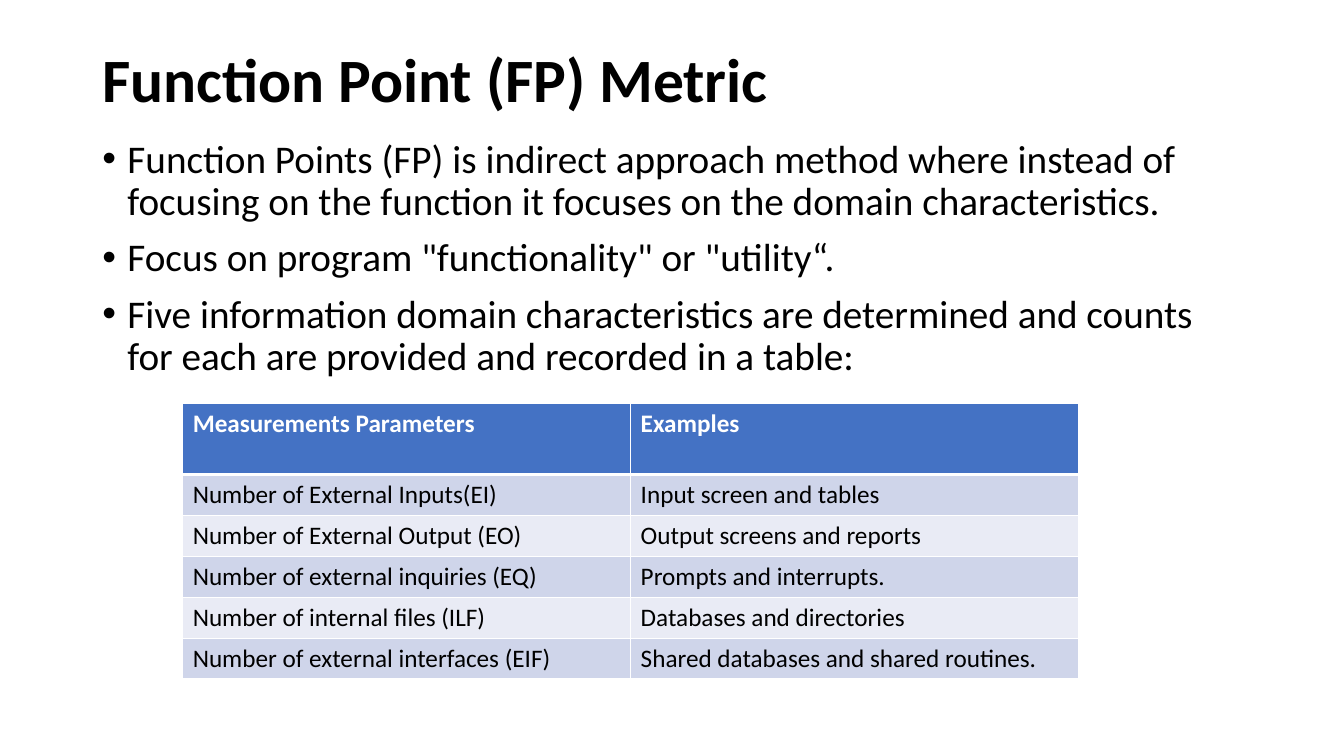
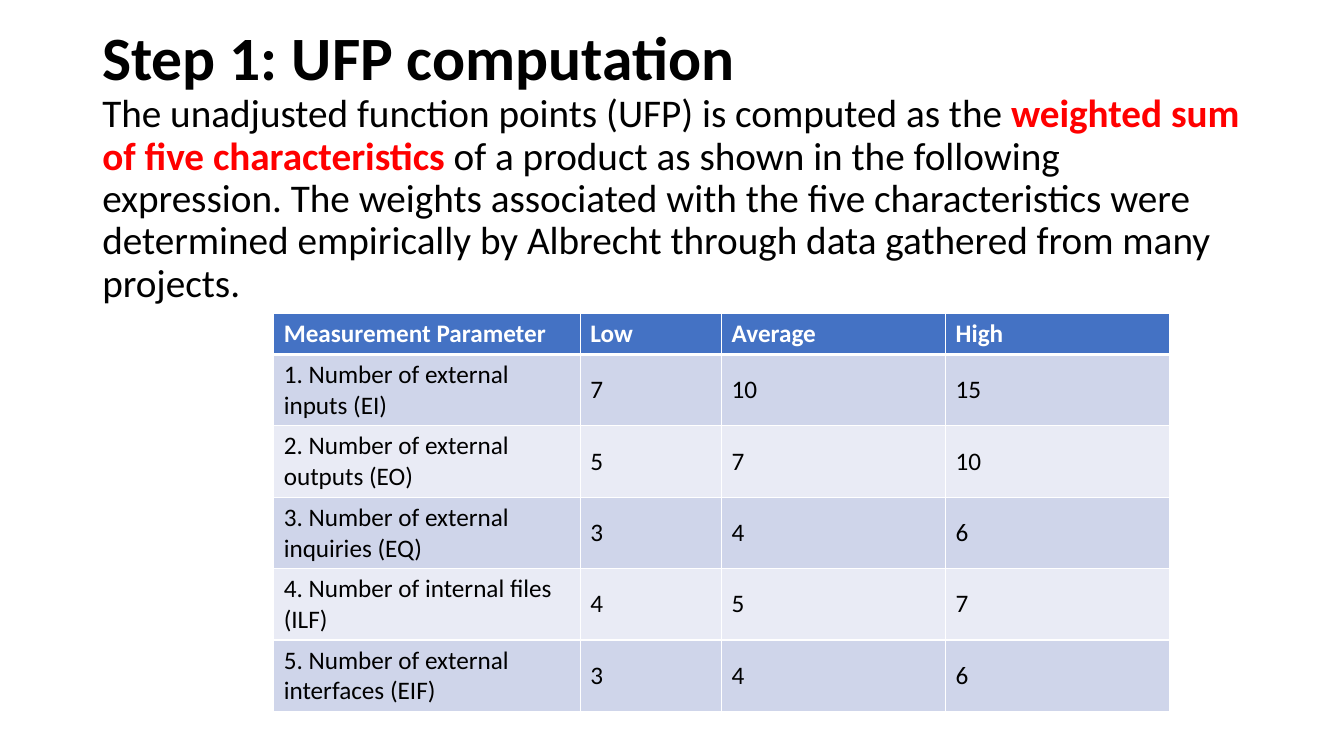
from lxml import etree
from pptx import Presentation
from pptx import util as u
from pptx.dml import color
from pptx.enum import text
from pptx.oxml import ns

COLORS = {
    "ink": "000000",
    "paper": "FFFFFF",
    "accent": "FF0000",
    "header": "4472C4",
    "odd": "CFD5EA",
    "even": "E9EBF5",
}
LEFT, WIDTH = 66, 828


class Deck:
    """Hold the shared style and the current slide."""

    font = "Calibri"
    title_size, body_size, cell_size = 44, 28, 18
    thin, thick = 1, 3

    def __init__(self):
        self.presentation = Presentation()
        self.presentation.slide_width = u.Pt(960)
        self.presentation.slide_height = u.Pt(540)
        self.slide = None

    def new_slide(self):
        self.slide = self.presentation.slides.add_slide(self.presentation.slide_layouts[6])

    def rgb(self, name):
        return color.RGBColor.from_string(COLORS[name])

    def style(self, run, size, ink="ink", bold=False):
        run.font.name = self.font
        run.font.size = u.Pt(size)
        run.font.bold = bold
        run.font.color.rgb = self.rgb(ink)

    def text_frame(self, top, height, anchor):
        shape = self.slide.shapes.add_textbox(u.Pt(LEFT), u.Pt(top), u.Pt(WIDTH), u.Pt(height))
        frame = shape.text_frame
        frame.word_wrap = True
        frame.vertical_anchor = anchor
        return frame

    def title(self, wording, top, height):
        frame = self.text_frame(top, height, text.MSO_ANCHOR.MIDDLE)
        frame.text = wording
        paragraph = frame.paragraphs[0]
        paragraph.line_spacing = 0.9
        self.style(paragraph.runs[0], self.title_size, bold=True)

    def bullet(self, paragraph):
        properties = paragraph._p.get_or_add_pPr()
        properties.set("marL", str(u.Pt(18)))
        properties.set("indent", str(u.Pt(-18)))
        etree.SubElement(properties, ns.qn("a:buFont"), typeface="Arial")
        etree.SubElement(properties, ns.qn("a:buChar"), char="•")

    def body(self, paragraphs, top, height, bulleted=False):
        frame = self.text_frame(top, height, text.MSO_ANCHOR.TOP)
        for index, pieces in enumerate(paragraphs):
            paragraph = frame.add_paragraph() if index else frame.paragraphs[0]
            if bulleted:
                self.bullet(paragraph)
            paragraph.line_spacing = 0.9
            if index:
                paragraph.space_before = u.Pt(10)
            for wording, ink in pieces:
                run = paragraph.add_run()
                run.text = wording
                self.style(run, self.body_size, ink, bold=ink == "accent")

    def borders(self, cell, top, bottom):
        properties = cell._tc.get_or_add_tcPr()
        widths = {"lnL": self.thin, "lnR": self.thin, "lnT": top, "lnB": bottom}
        for side, width in widths.items():
            line = etree.SubElement(properties, ns.qn(f"a:{side}"), w=str(u.Pt(width)))
            fill = etree.SubElement(line, ns.qn("a:solidFill"))
            etree.SubElement(fill, ns.qn("a:srgbClr"), val=COLORS["paper"])

    def cell(self, cell, wording, row, anchor):
        self.borders(
            cell,
            self.thick if row == 1 else self.thin,
            self.thick if row == 0 else self.thin,
        )
        band = "header" if row == 0 else ("even", "odd")[row % 2]
        cell.fill.solid()
        cell.fill.fore_color.rgb = self.rgb(band)
        cell.vertical_anchor = anchor
        cell.text_frame.text = wording
        run = cell.text_frame.paragraphs[0].runs[0]
        self.style(run, self.cell_size, "ink" if row else "paper", bold=row == 0)

    def table(self, rows, left, top, widths, header_height, row_height, anchor):
        heights = [header_height] + [row_height] * (len(rows) - 1)
        shape = self.slide.shapes.add_table(
            len(rows), len(widths), u.Pt(left), u.Pt(top), u.Pt(sum(widths)), u.Pt(sum(heights))
        )
        table = shape.table
        for column, width in zip(table.columns, widths):
            column.width = u.Pt(width)
        for row, (values, height) in enumerate(zip(rows, heights)):
            table.rows[row].height = u.Pt(height)
            for column, wording in enumerate(values):
                self.cell(table.cell(row, column), wording, row, anchor)


def metric_slide(deck):
    deck.new_slide()
    deck.title("Function Point (FP) Metric", 28.8, 60)
    points = [
        "Function Points (FP) is indirect approach method where instead of focusing on the "
        "function it focuses on the domain characteristics.",
        'Focus on program "functionality" or "utility“.',
        "Five information domain characteristics are determined and counts for each are "
        "provided and recorded in a table:",
    ]
    deck.body([[(point, "ink")] for point in points], 96, 390, bulleted=True)
    rows = [
        ("Measurements Parameters", "Examples"),
        ("Number of External Inputs(EI)", "Input screen and tables"),
        ("Number of External Output (EO)", "Output screens and reports"),
        ("Number of external inquiries (EQ)", "Prompts and interrupts."),
        ("Number of internal files (ILF)", "Databases and directories"),
        ("Number of external interfaces (EIF)", "Shared databases and shared routines."),
    ]
    deck.table(rows, 130.5, 288, [320, 320], 51, 29.2, text.MSO_ANCHOR.TOP)


def computation_slide(deck):
    deck.new_slide()
    deck.title("Step 1: UFP computation", 6, 75)
    pieces = [
        ("The unadjusted function points (UFP) is computed as the", "ink"),
        (" weighted sum of five characteristics ", "accent"),
        (
            "of a product as shown in the following expression. The weights associated with "
            "the five characteristics were determined empirically by Albrecht through data "
            "gathered from many projects.",
            "ink",
        ),
    ]
    deck.body([pieces], 63.5, 422.5)
    rows = [
        ("Measurement Parameter", "Low", "Average", "High"),
        ("1. Number of external inputs (EI)", "7", "10", "15"),
        ("2. Number of external outputs (EO)", "5", "7", "10"),
        ("3. Number of external inquiries (EQ)", "3", "4", "6"),
        ("4. Number of internal files (ILF)", "4", "5", "7"),
        ("5. Number of external interfaces (EIF)", "3", "4", "6"),
    ]
    deck.table(rows, 195.5, 224, [219, 101, 160, 160], 29.2, 51, text.MSO_ANCHOR.MIDDLE)


def main():
    deck = Deck()
    metric_slide(deck)
    computation_slide(deck)
    deck.presentation.save("out.pptx")


if __name__ == "__main__":
    main()
